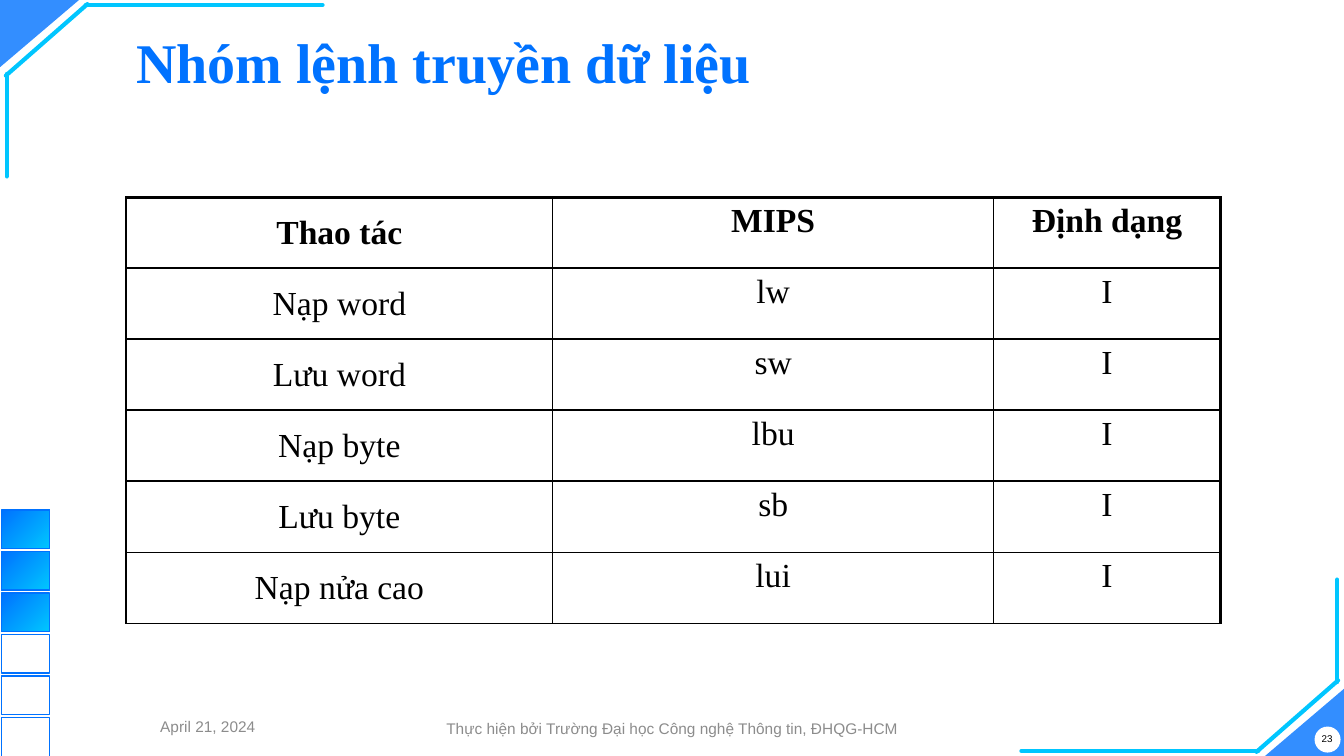
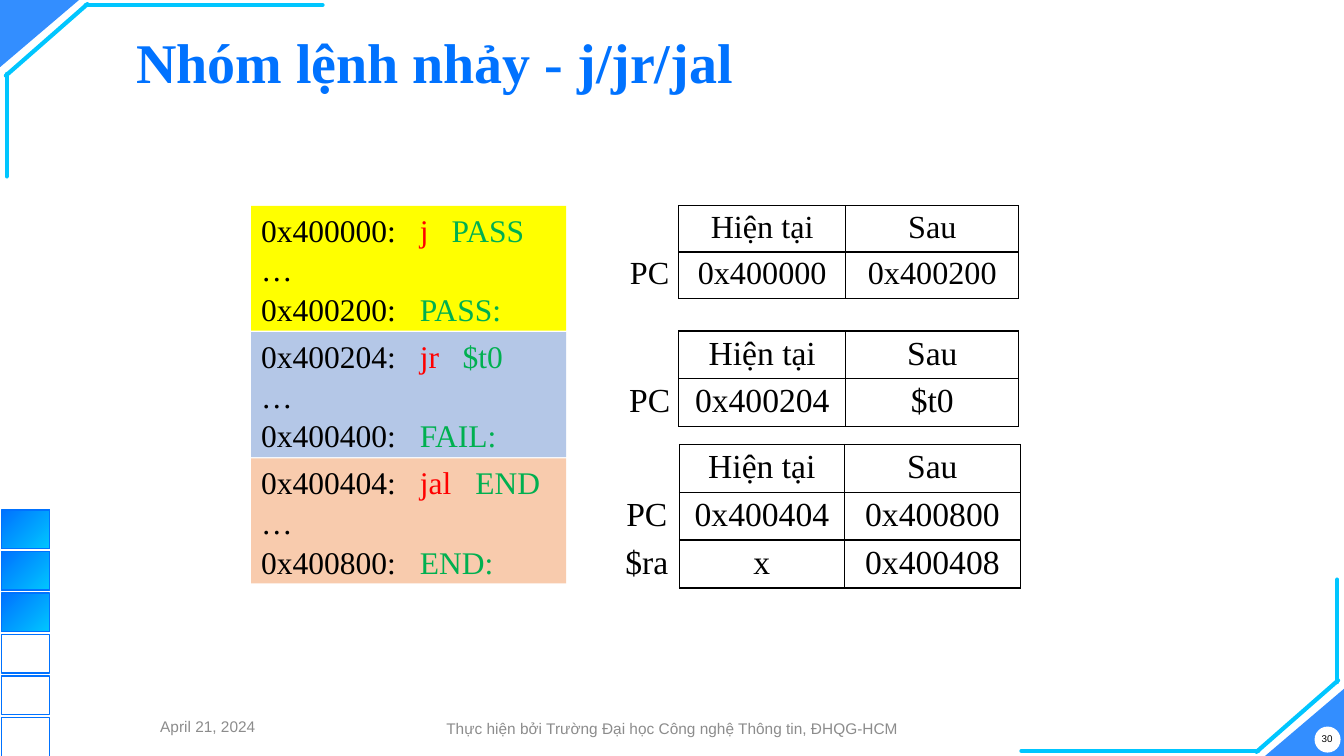
from dataclasses import dataclass

from lxml.etree import SubElement
from pptx import Presentation
from pptx.dml.color import RGBColor
from pptx.enum.shapes import MSO_CONNECTOR, MSO_SHAPE
from pptx.enum.text import MSO_ANCHOR, MSO_AUTO_SIZE, PP_ALIGN
from pptx.oxml.ns import qn
from pptx.util import Inches, Pt

COLUMNS, ROWS = 160, 90
CELL = Inches(7.5) / ROWS


@dataclass(frozen=True)
class Theme:
    serif: str = "Times New Roman"
    sans: str = "Arial"
    blue: str = "0072FF"
    cyan: str = "00C6FF"
    white: str = "FFFFFF"
    black: str = "000000"
    grey: str = "8C8C8C"
    red: str = "FF0000"
    green: str = "00B050"
    yellow: str = "FFFF00"
    pale_blue: str = "B4C7E7"
    peach: str = "F8CBAD"
    title_size: float = 40
    table_size: float = 24
    small_table_size: float = 23
    code_size: float = 22.5
    footer_size: float = 11
    number_size: float = 7
    thin: float = 1
    medium: float = 1.5
    thick: float = 2.25
    frame: float = 3


THEME = Theme()


@dataclass(frozen=True)
class Box:
    left: float
    top: float
    width: float
    height: float

    def inner(self, left, top, width, height):
        return Box(self.left + left, self.top + top, width, height)

    def place(self):
        return [grid(value) for value in (self.left, self.top, self.width, self.height)]


PAGE = Box(0, 0, COLUMNS, ROWS)


def grid(units):
    return round(units * CELL)


def colour(code):
    return RGBColor.from_string(code)


def fill_solid(fill, code):
    fill.solid()
    fill.fore_color.rgb = colour(code)


def fill_gradient(fill):
    fill.gradient()
    fill.gradient_angle = 315
    for stop, code in zip(fill.gradient_stops, (THEME.blue, THEME.cyan)):
        stop.color.rgb = colour(code)


def write_text(frame, lines, size, font=THEME.serif, code=THEME.black, bold=False,
               gradient=False, align=PP_ALIGN.CENTER, anchor=MSO_ANCHOR.MIDDLE,
               spacing=None, margins=None, tabs=()):
    frame.word_wrap = True
    frame.auto_size = MSO_AUTO_SIZE.NONE
    frame.vertical_anchor = anchor
    if margins is not None:
        frame.margin_left = frame.margin_right = grid(margins)
        frame.margin_top = frame.margin_bottom = grid(margins)
    for index, pieces in enumerate(lines):
        paragraph = frame.paragraphs[0] if index == 0 else frame.add_paragraph()
        if tabs:
            tab_list = SubElement(paragraph._p.get_or_add_pPr(), qn("a:tabLst"))
            for position in tabs:
                SubElement(tab_list, qn("a:tab"), pos=str(grid(position)), algn="l")
        paragraph.alignment = align
        if spacing:
            paragraph.line_spacing = spacing
        for text, piece_code in pieces:
            run = paragraph.add_run()
            run.text = text
            run.font.size = Pt(size)
            run.font.name = font
            run.font.bold = bold
            if gradient:
                fill_gradient(run.font.fill)
            else:
                run.font.color.rgb = colour(piece_code or code)


def plain(text):
    return [[(text, None)]]


def add_shape(slide, kind, box, code=None, line=None):
    shape = slide.shapes.add_shape(kind, *box.place())
    shape.shadow.inherit = False
    if code:
        fill_solid(shape.fill, code)
    else:
        shape.fill.background()
    if line:
        shape.line.color.rgb = colour(line)
        shape.line.width = Pt(THEME.thin)
    else:
        shape.line.fill.background()
    return shape


def add_label(slide, box, text, **style):
    label = slide.shapes.add_textbox(*box.place())
    write_text(label.text_frame, plain(text), font=THEME.sans, margins=0, **style)


def draw_corner(slide, box, opposite):
    def turn(x, y):
        return (box.width - x, box.height - y) if opposite else (x, y)

    width, height = 9.4, 8
    left, top = turn(width, height) if opposite else (0, 0)
    triangle = add_shape(slide, MSO_SHAPE.ISOSCELES_TRIANGLE,
                         box.inner(left, top, width, height), THEME.blue)
    triangle.adjustments[0] = 1
    triangle.rotation = 0 if opposite else 180
    tint = triangle._element.spPr.find(qn("a:solidFill"))[0]
    SubElement(tint, qn("a:alpha"), val="80000")

    strokes = (((38.4, 0.6), (10.2, 0.6)), ((10.4, 0.5), (0.7, 9)), ((0.8, 21), (0.8, 8.8)))
    for start, end in strokes:
        points = [grid(value) for value in turn(*start) + turn(*end)]
        stroke = slide.shapes.add_connector(MSO_CONNECTOR.STRAIGHT, *points)
        stroke.line.color.rgb = colour(THEME.cyan)
        stroke.line.width = Pt(THEME.frame)
        stroke.line._get_or_add_ln().set("cap", "rnd")
        SubElement(stroke._element.spPr, qn("a:effectLst"))


def draw_progress(slide, box, total, done):
    pitch = box.height / total
    for index in range(total):
        square = add_shape(slide, MSO_SHAPE.RECTANGLE,
                           box.inner(0, index * pitch, box.width, pitch - 0.35),
                           line=THEME.blue)
        if index < done:
            fill_gradient(square.fill)


def build_layout(slide):
    layout = slide.slide_layout
    title = layout.placeholders[0]
    title.left, title.top, title.width, title.height = Box(15, 1.9, 138, 11.8).place()
    draw_corner(slide, PAGE, opposite=False)
    draw_corner(slide, PAGE, opposite=True)
    add_shape(slide, MSO_SHAPE.OVAL, Box(156.5, 86.5, 3.1, 3.1), THEME.white)
    draw_progress(slide, Box(0.2, 60.7, 5.7, 29.7), total=6, done=3)
    decorations = [shape for shape in slide.shapes if not shape.is_placeholder]
    for number, shape in enumerate(decorations, start=100):
        shape._element.xpath(".//p:cNvPr")[0].set("id", str(number))
        layout.shapes._spTree.append(shape._element)


def write_heading(slide, title, number):
    write_text(slide.shapes.title.text_frame, plain(title), THEME.title_size, bold=True,
               gradient=True, align=PP_ALIGN.LEFT, spacing=0.9)
    add_label(slide, Box(47.9, 85, 64.3, 3.5),
              "Thực hiện bởi Trường Đại học Công nghệ Thông tin, ĐHQG-HCM",
              size=THEME.footer_size, code=THEME.grey)
    add_label(slide, Box(156.1, 86, 3.8, 3.8), number, size=THEME.number_size)
    add_label(slide, Box(11, 84.7, 27.5, 3.5), "April 21, 2024",
              size=THEME.footer_size, code=THEME.grey)


def set_borders(cell, left, right, top, bottom):
    properties = cell._tc.get_or_add_tcPr()
    for side, width in zip("LRTB", (left, right, top, bottom)):
        edge = SubElement(properties, qn(f"a:ln{side}"), w=str(Pt(width)))
        if width:
            solid = SubElement(edge, qn("a:solidFill"))
            SubElement(solid, qn("a:srgbClr"), val=THEME.black)
        else:
            SubElement(edge, qn("a:noFill"))


def add_grid_table(slide, left, top, widths, row_height, rows, borders, style, margins):
    box = Box(left, top, sum(widths), row_height * len(rows))
    graphic = slide.shapes.add_table(len(rows), len(widths), *box.place())
    table = graphic.table
    table.first_row = table.horz_banding = False
    for column, width in zip(table.columns, widths):
        column.width = grid(width)
    for row_index, texts in enumerate(rows):
        table.rows[row_index].height = grid(row_height)
        for column_index, text in enumerate(texts):
            cell = table.cell(row_index, column_index)
            set_borders(cell, *borders(row_index, column_index))
            cell.fill.background()
            cell.margin_left = cell.margin_right = grid(margins[0])
            cell.margin_top = cell.margin_bottom = grid(margins[1])
            if text:
                options = style(row_index, column_index)
                cell.vertical_anchor = options.pop("anchor")
                paragraph_frame = cell.text_frame
                write_text(paragraph_frame, plain(text), anchor=cell.vertical_anchor, **options)


def draw_instruction_table(slide, box):
    rows = (("Thao tác", "MIPS", "Định dạng"), ("Nạp word", "lw", "I"),
            ("Lưu word", "sw", "I"), ("Nạp byte", "lbu", "I"),
            ("Lưu byte", "sb", "I"), ("Nạp nửa cao", "lui", "I"))
    horizontals = [THEME.thick] + [THEME.medium] * 4 + [THEME.thin] * 2

    def borders(row, column):
        right = THEME.thick if column == 2 else THEME.thin
        return THEME.thin, right, horizontals[row], horizontals[row + 1]

    def style(row, column):
        return {"size": THEME.table_size, "bold": row == 0,
                "anchor": MSO_ANCHOR.TOP if column else MSO_ANCHOR.MIDDLE}

    add_grid_table(slide, box.left, box.top, (50.8, 52.5, 27), box.height / len(rows),
                   rows, borders, style, margins=(1.2, 0.6))


def draw_register_table(slide, left, top, widths, row_height, size, registers):
    def borders(row, column):
        return (THEME.thin,) * 4 if column else (0, THEME.thin, 0, 0)

    def style(row, column):
        return {"size": size, "anchor": MSO_ANCHOR.TOP}

    add_grid_table(slide, left, top, widths, row_height,
                   (("", "Hiện tại", "Sau"),) + registers, borders, style, margins=(0.8, 0.5))


def draw_code_blocks(slide, box):
    blocks = (
        (THEME.yellow, "0x400000:", "j", "PASS", 22.7, "0x400200:", "PASS:"),
        (THEME.pale_blue, "0x400204:", "jr", "$t0", 24, "0x400400:", "FAIL:"),
        (THEME.peach, "0x400404:", "jal", "END", 25.5, "0x400800:", "END:"),
    )
    pitch = box.height / len(blocks)
    for index, (fill, start, command, target, stop, end, mark) in enumerate(blocks):
        block = add_shape(slide, MSO_SHAPE.RECTANGLE,
                          box.inner(0, index * pitch, box.width, pitch - 0.15), fill)
        lines = (
            ((start, None), ("\t" + command, THEME.red), ("\t" + target, THEME.green)),
            (("…", None),),
            ((end, None), ("\t" + mark, THEME.green)),
        )
        write_text(block.text_frame, lines, THEME.code_size, align=PP_ALIGN.LEFT,
                   spacing=1.05, tabs=(18.9, stop))


def build_transfer_slide(slide):
    write_heading(slide, "Nhóm lệnh truyền dữ liệu", "23")
    draw_instruction_table(slide, Box(15, 23.5, 130.3, 50.7))


def build_jump_slide(slide):
    write_heading(slide, "Nhóm lệnh nhảy - j/jr/jal", "30")
    draw_code_blocks(slide, Box(29.9, 24.5, 37.5, 45.1))
    narrow, wide = (6.9, 19.9, 20.6), (7.8, 19.6, 21)
    tables = (
        (73.9, 24.5, narrow, 5.5, THEME.small_table_size, (("PC", "0x400000", "0x400200"),)),
        (73.9, 39.4, narrow, 5.7, THEME.table_size, (("PC", "0x400204", "$t0"),)),
        (73.1, 52.9, wide, 5.7, THEME.table_size,
         (("PC", "0x400404", "0x400800"), ("$ra", "x", "0x400408"))),
    )
    for table in tables:
        draw_register_table(slide, *table)


def main():
    presentation = Presentation()
    presentation.slide_width = grid(COLUMNS)
    presentation.slide_height = grid(ROWS)
    layout = presentation.slide_layouts[5]
    transfer, jump = (presentation.slides.add_slide(layout) for _ in range(2))
    build_layout(transfer)
    build_transfer_slide(transfer)
    build_jump_slide(jump)
    presentation.save("out.pptx")


if __name__ == "__main__":
    main()
